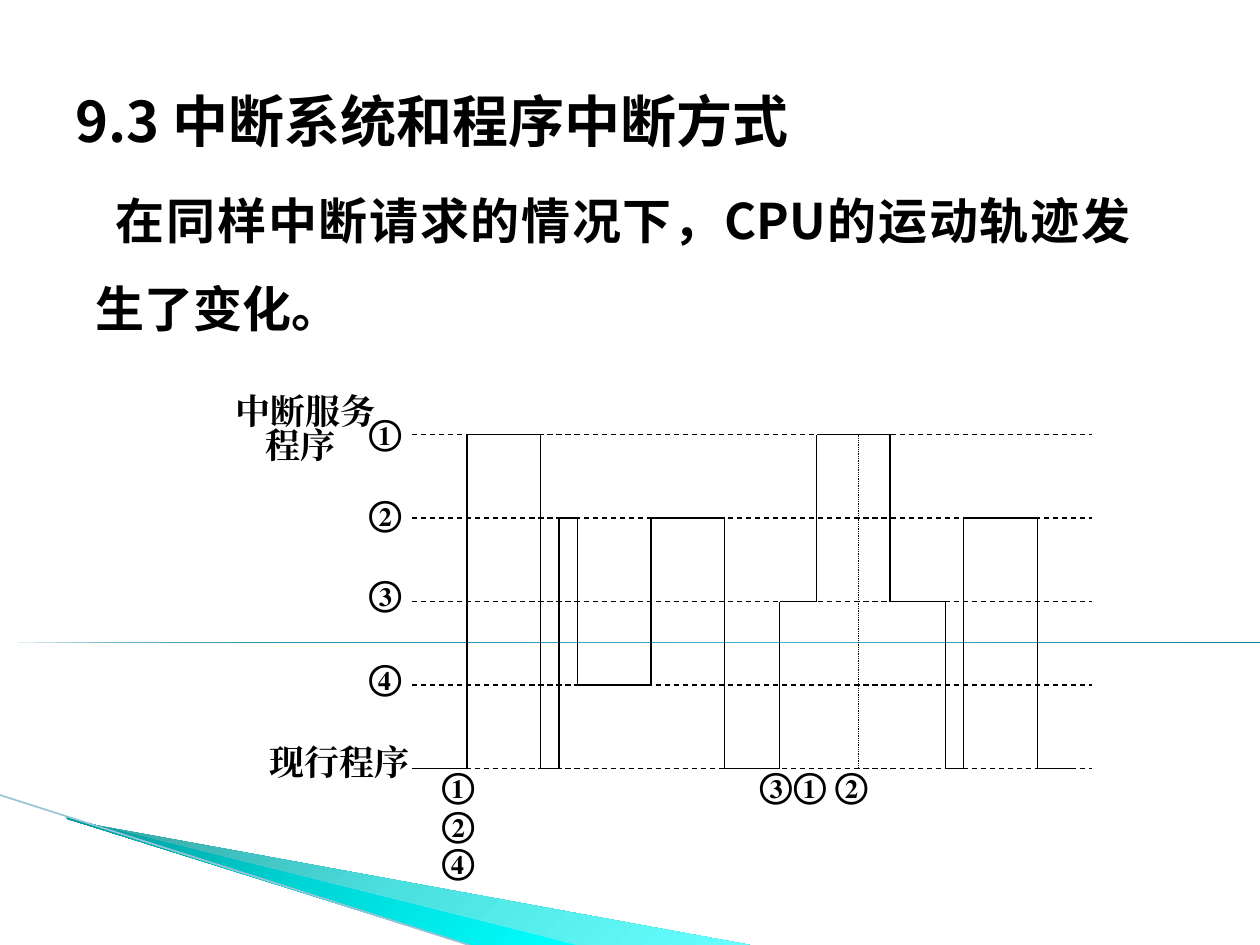
import itertools

import pptx
import pptx.dml.color
import pptx.enum.dml
import pptx.enum.shapes
import pptx.enum.text
import pptx.oxml
import pptx.oxml.ns
import pptx.util

Inches = pptx.util.Inches
Pt = pptx.util.Pt
DASH = pptx.enum.dml.MSO_LINE
ALIGN = pptx.enum.text.PP_ALIGN
ANCHOR = pptx.enum.text.MSO_ANCHOR
NAMESPACE = pptx.oxml.ns.nsdecls("a")
HEADING_FONT = "Noto Sans CJK SC"
LABEL_FONT = "Times New Roman"


def color(value):
    """Return the colour of a hex string."""
    return pptx.dml.color.RGBColor.from_string(value)


def apply(target, values):
    """Set each attribute in a dict of format values."""
    for name, value in values.items():
        setattr(target, name, value)


def place(item, box):
    """Move an object to a box given in inches."""
    names = ("left", "top", "width", "height")
    apply(item, {name: Inches(value) for name, value in zip(names, box)})


def write(para, text, size, font, margin=0, indent=0, **values):
    """Write bold black text into a paragraph without a bullet."""
    apply(para, values)
    span = para.add_run()
    span.text = text
    apply(span.font, {"size": Pt(size), "name": font, "bold": True})
    span.font.color.rgb = color("000000")
    span.font._element.append(
        pptx.oxml.parse_xml(f'<a:ea {NAMESPACE} typeface="{font}"/>'))
    properties = para._p.get_or_add_pPr()
    properties.set("marL", str(Inches(margin)))
    properties.set("indent", str(Inches(indent)))
    properties.append(pptx.oxml.parse_xml(f"<a:buNone {NAMESPACE}/>"))


def add_line(shapes, start, end, width=0.75, dash=None, stroke="000000"):
    """Draw a straight line between two points in inches."""
    line = shapes.add_connector(
        pptx.enum.shapes.MSO_CONNECTOR.STRAIGHT,
        *(Inches(value) for value in (*start, *end)))
    line.line.color.rgb = color(stroke)
    apply(line.line, {"width": Pt(width), "dash_style": dash})
    line.element.spPr.append(
        pptx.oxml.parse_xml(f"<a:effectLst {NAMESPACE}/>"))


def shade(shape, stops, direction):
    """Fill a shape with a gradient and remove its outline and shadow."""
    shape.shadow.inherit = False
    shape.line.fill.background()
    shape.fill.background()
    marks = "".join(
        f'<a:gs pos="{place_percent * 1000}"><a:srgbClr val="{value}"/></a:gs>'
        for place_percent, value in stops)
    blank = shape.element.spPr.find(pptx.oxml.ns.qn("a:noFill"))
    blank.getparent().replace(blank, pptx.oxml.parse_xml(
        f'<a:gradFill {NAMESPACE} rotWithShape="1">'
        f"<a:gsLst>{marks}</a:gsLst>{direction}</a:gradFill>"))


def add_wedge(shapes, box, points, stops, direction):
    """Draw a shaded wedge with points relative to its box."""
    left, top = box
    corners = [(Inches(left + x), Inches(top + y)) for x, y in points]
    builder = shapes.build_freeform(*corners[0])
    builder.add_line_segments(corners[1:], close=True)
    shade(builder.convert_to_shape(), stops, direction)


def add_decoration(shapes, box):
    """Draw the horizon line and the wedges of the page background."""
    left, top, width, height = box
    bottom = top + height
    horizon = shapes.add_shape(
        pptx.enum.shapes.MSO_SHAPE.RIGHT_TRIANGLE, 0, 0, 0, 0)
    place(horizon, (left, top + 5.1, width, 0))
    shade(horizon, [(0, "007896"), (55, "4CBBDF"), (100, "007896")],
          '<a:lin ang="3000000" scaled="1"/>')
    add_wedge(shapes, (left + 0.55, bottom - 1),
              [(0, 0.01), (5.4, 1), (4.01, 1), (0, 0)],
              [(0, "369E9E"), (50, "4CE1E1"), (100, "66FFFF")],
              '<a:lin ang="2700000" scaled="1"/>')
    add_wedge(shapes, (left + 0.53, bottom - 1.01),
              [(0, 0), (4.04, 1.01), (3.19, 1.01), (0.01, 0.01)],
              [(0, "009797"), (50, "00D7D7"), (100, "00FFFF")],
              '<a:path path="circle"><a:fillToRect r="100000" b="100000"/>'
              "</a:path>")
    add_line(shapes, (left, bottom - 1.19), (left + 3.72, bottom),
             0.95, stroke="97C5D8")


def fill_placeholder(holder, box, text, size, anchor, **values):
    """Move a template placeholder to its box and fill it with text."""
    place(holder, box)
    frame = holder.text_frame
    apply(frame, {"vertical_anchor": anchor, "word_wrap": True,
                  "auto_size": pptx.enum.text.MSO_AUTO_SIZE.NONE})
    write(frame.paragraphs[0], text, size, HEADING_FONT, **values)


def add_label(shapes, box, text):
    """Add a text box with a diagram label and return its frame."""
    label = shapes.add_textbox(0, 0, 0, 0)
    place(label, box)
    label.text_frame.word_wrap = True
    write(label.text_frame.paragraphs[0], text, 20, LABEL_FONT)
    return label.text_frame


def add_timeline(shapes, box):
    """Draw the track of the processor through the interrupt levels."""
    left, top, width, height = box
    unit, step = width / 37, height / 4

    def point(column, level):
        """Return the position of a grid point."""
        return left + column * unit, top + level * step

    for level in range(5):
        add_line(shapes, point(0, level), point(37, level), dash=DASH.DASH)

    stays = [(0, 4), (3, 0), (7, 4), (8, 1), (9, 3), (13, 1), (17, 4),
             (20, 2), (22, 0), (26, 2), (29, 4), (30, 1), (34, 4), (36, 4)]
    for (start, level), (end, following) in itertools.pairwise(stays):
        add_line(shapes, point(start, level), point(end, level))
        if level != following:
            add_line(shapes, point(end, level), point(end, following))
    add_line(shapes, (left + 3.54, top), (left + 3.54, top + height),
             0.5, DASH.ROUND_DOT)

    service = add_label(shapes, (left - 1.5, top - 0.41, 1.53, 0.7), "中断服务")
    write(service.add_paragraph(), "程序", 20, LABEL_FONT, margin=0.24,
          line_spacing=0.3, space_before=Pt(10))
    add_label(shapes, (left - 1.23, top + height - 0.27, 1.53, 0.43), "现行程序")
    marks = [("①", -0.44, -0.24), ("②", -0.44, 0.4),
             ("③", -0.44, 1.04), ("④", -0.44, 1.7),
             ("①", 0.14, 2.56), ("②", 0.14, 2.87), ("④", 0.14, 3.16),
             ("③", 2.66, 2.56), ("①", 2.93, 2.56), ("②", 3.26, 2.56)]
    for text, x, y in marks:
        add_label(shapes, (left + x, top + y, 1.46, 0.43), text)


def main():
    """Build the slide and save the deck."""
    deck = pptx.Presentation()
    apply(deck, {"slide_width": Inches(10), "slide_height": Inches(7.5)})
    page = deck.slides.add_slide(deck.slide_layouts[1])
    title, body = page.placeholders
    add_decoration(page.shapes, (0, 0, 10, 7.5))
    for holder in (title, body):
        page.shapes.element.append(holder.element)
    fill_placeholder(title, (0.5, 0.3, 9, 1.25), "9.3 中断系统和程序中断方式",
                     32, ANCHOR.MIDDLE, alignment=ALIGN.LEFT, line_spacing=1.1)
    fill_placeholder(body, (0.26, 1.23, 8.81, 5.62),
                     "在同样中断请求的情况下，CPU的运动轨迹发生了变化。",
                     28, ANCHOR.TOP, margin=0.4, indent=0.16,
                     alignment=ALIGN.JUSTIFY, line_spacing=1.5,
                     space_before=Pt(4))
    diagram = page.shapes.add_group_shape()
    add_timeline(diagram.shapes, (3.27, 3.45, 5.4, 2.65))
    deck.save("out.pptx")


if __name__ == "__main__":
    main()
